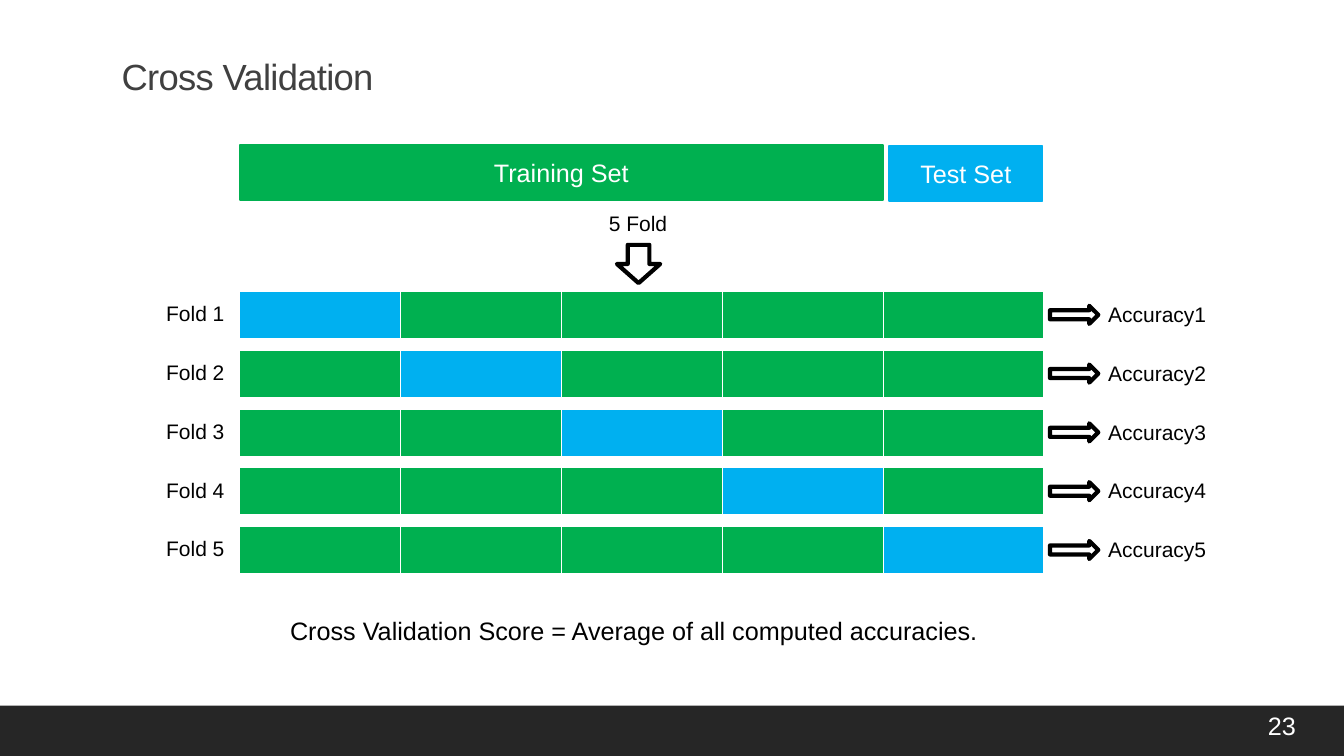
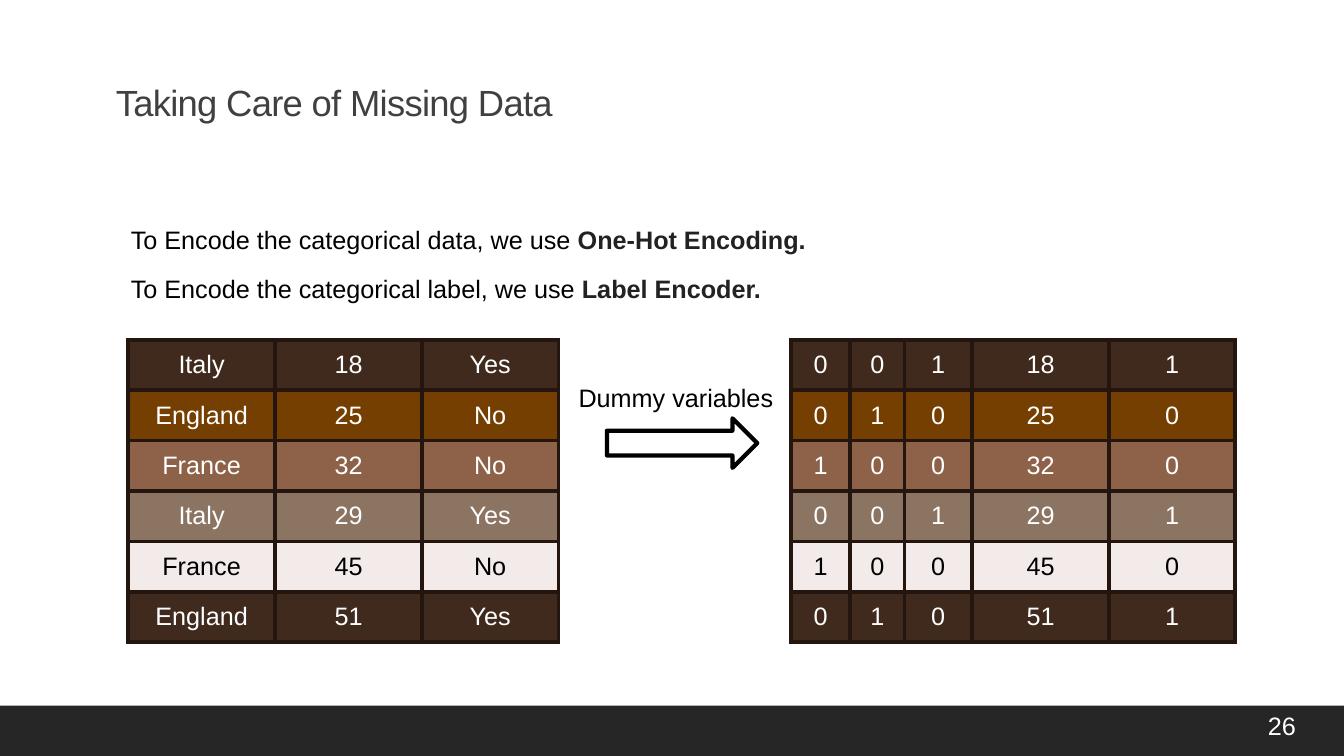
from lxml.etree import SubElement
from pptx import Presentation
from pptx.dml.color import RGBColor
from pptx.enum.shapes import MSO_SHAPE
from pptx.enum.text import MSO_ANCHOR, PP_ALIGN
from pptx.oxml.ns import qn
from pptx.util import Pt

COLUMNS, ROWS, UNIT = 32, 18, 381000
BLACK, WHITE, BAND, TITLE, STRONG = "000000", "FFFFFF", "262626", "404040", "222222"
GREEN, BLUE, EDGE = "00B050", "00B0F0", "24150E"
ROW_FILLS = ["3F2A1D", "763F02", "8E6248", "8C7462", "F2EBE9", "3F2A1D"]


def colour(value):
    return RGBColor.from_string(value)


def grid(*lengths):
    return [round(length * UNIT) for length in lengths]


def apply(target, values):
    for name, value in values.items():
        setattr(target, name, value)


class Deck:
    """Hold the shared style and draw elements on the current slide."""

    def __init__(self):
        self.presentation = Presentation()
        apply(self.presentation, {"slide_width": COLUMNS * UNIT, "slide_height": ROWS * UNIT})
        self.slide = None

    def add_slide(self, number):
        layout = self.presentation.slide_layouts[6]
        self.slide = self.presentation.slides.add_slide(layout)
        self.shape(MSO_SHAPE.RECTANGLE, (0, 16.8, COLUMNS, 1.2), BAND)
        self.text([number], (29.95, 16.8, 2.04, 0.96), color=WHITE, anchor=MSO_ANCHOR.MIDDLE)

    def fill_text(self, frame, runs, size=18, color=BLACK, alignment=PP_ALIGN.LEFT, spacing=None):
        paragraph = frame.paragraphs[0]
        apply(paragraph, {"alignment": alignment, "line_spacing": spacing})
        for index, content in enumerate(runs):
            run = paragraph.add_run()
            run.text = content
            strong = index > 0
            apply(run.font, {"name": "Arial", "size": Pt(size), "bold": strong})
            run.font.color.rgb = colour(STRONG if strong else color)
        return paragraph

    def text(self, runs, box, anchor=MSO_ANCHOR.TOP, **style):
        frame = self.slide.shapes.add_textbox(*grid(*box)).text_frame
        apply(frame, {"word_wrap": True, "vertical_anchor": anchor})
        return self.fill_text(frame, runs, **style)

    def title(self, content, box, spacing=None):
        paragraph = self.text([content], box, size=26, color=TITLE, spacing=spacing)
        paragraph.runs[0].font._element.set("spc", "-50")

    def shape(self, kind, box, fill=None, line=None, width=1.25, label=None):
        shape = self.slide.shapes.add_shape(kind, *grid(*box))
        shape.shadow.inherit = False
        if fill:
            shape.fill.solid()
            shape.fill.fore_color.rgb = colour(fill)
        else:
            shape.fill.background()
        if line:
            shape.line.color.rgb = colour(line)
            shape.line.width = Pt(width)
        else:
            shape.line.fill.background()
        if label:
            shape.text_frame.vertical_anchor = MSO_ANCHOR.MIDDLE
            self.fill_text(shape.text_frame, [label], color=WHITE, alignment=PP_ALIGN.CENTER)

    def arrow(self, kind, box, fill=WHITE):
        self.shape(kind, box, fill, BLACK, 3)

    def border(self, cell, color, widths):
        properties = cell._tc.get_or_add_tcPr()
        for side, width in zip("LRTB", widths):
            line = SubElement(properties, qn(f"a:ln{side}"), w=str(Pt(width)))
            fill = SubElement(line, qn("a:solidFill"))
            SubElement(fill, qn("a:srgbClr"), val=color)

    def table(self, left, top, widths, height, rows, fills, edge, edge_widths):
        box = grid(left, top, sum(widths), height * len(rows))
        table = self.slide.shapes.add_table(len(rows), len(widths), *box).table
        apply(table, {"first_row": False, "horz_banding": False})
        for column, width in zip(table.columns, grid(*widths)):
            column.width = width
        for row_index, row in enumerate(rows):
            for column_index, value in enumerate(row):
                cell = table.cell(row_index, column_index)
                fill = fills[row_index][column_index]
                self.border(cell, edge, edge_widths)
                cell.fill.solid()
                cell.fill.fore_color.rgb = colour(fill)
                cell.vertical_anchor = MSO_ANCHOR.MIDDLE
                if value:
                    ink = BLACK if fill == ROW_FILLS[4] else WHITE
                    self.fill_text(cell.text_frame, [value], color=ink, alignment=PP_ALIGN.CENTER)

    def data_table(self, left, widths, rows):
        fills = [[fill] * len(widths) for fill in ROW_FILLS]
        self.table(left, 8.09, widths, 1.2, rows, fills, EDGE, [3] * 4)


def cross_validation(deck):
    folds, first_top, pitch = 5, 6.94, 1.4
    deck.add_slide("23")
    deck.title("Cross Validation", (2.66, 1.18, 16, 1.3))
    deck.shape(MSO_SHAPE.RECTANGLE, (5.71, 3.46, 15.31, 1.3), GREEN, GREEN, label="Training Set")
    deck.shape(MSO_SHAPE.RECTANGLE, (21.17, 3.48, 3.65, 1.3), BLUE, BLUE, label="Test Set")
    deck.text(["5 Fold"], (14.26, 4.9, 2.14, 0.84), size=15)
    deck.arrow(MSO_SHAPE.DOWN_ARROW, (14.69, 5.83, 1.03, 0.91), None)
    for fold in range(folds):
        top = first_top + fold * pitch
        fills = [BLUE if part == fold else GREEN for part in range(folds)]
        deck.text([f"Fold {fold + 1}"], (3.72, top + 0.1, 2.64, 0.84), size=15)
        deck.table(5.71, top, [3.83] * folds, 1.15, [[""] * folds], [fills], WHITE, [1, 1, 1, 3])
        deck.arrow(MSO_SHAPE.RIGHT_ARROW, (25, top + 0.34, 1.15, 0.43))
        deck.text([f"Accuracy{fold + 1}"], (26.15, top + 0.12, 3.2, 0.84), size=15)
    deck.text(["Cross Validation Score = Average of all computed accuracies."],
              (6.67, 14.54, 18.12, 0.96))


def missing_data(deck):
    countries = ["France", "England", "Italy"]
    features = [("Italy", "18"), ("England", "25"), ("France", "32"),
                ("Italy", "29"), ("France", "45"), ("England", "51")]
    labels = ["Yes", "No", "No", "Yes", "No", "Yes"]
    encoded = [[str(int(country == name)) for name in countries] + [age]
               for country, age in features]
    deck.add_slide("26")
    deck.title("Taking Care of Missing Data", (2.52, 1.27, 16, 2.66), 1.5)
    deck.text(["To Encode the categorical data, we use ", "One-Hot Encoding."],
              (2.88, 5.23, 18.24, 0.96))
    deck.text(["To Encode the categorical label, we use ", "Label Encoder."],
              (2.88, 6.38, 18.24, 0.96))
    deck.data_table(3.05, [3.5, 3.5], features)
    deck.data_table(10.04, [3.26], [[label] for label in labels])
    deck.text(["Dummy variables"], (13.54, 8.98, 5.42, 0.96))
    deck.arrow(MSO_SHAPE.RIGHT_ARROW, (14.45, 9.96, 3.58, 1.18))
    deck.data_table(18.84, [1.4, 1.3, 1.6, 3.28], encoded)
    deck.data_table(26.41, [3], [[str(int(label == "Yes"))] for label in labels])


def main():
    deck = Deck()
    cross_validation(deck)
    missing_data(deck)
    deck.presentation.save("out.pptx")


if __name__ == "__main__":
    main()
